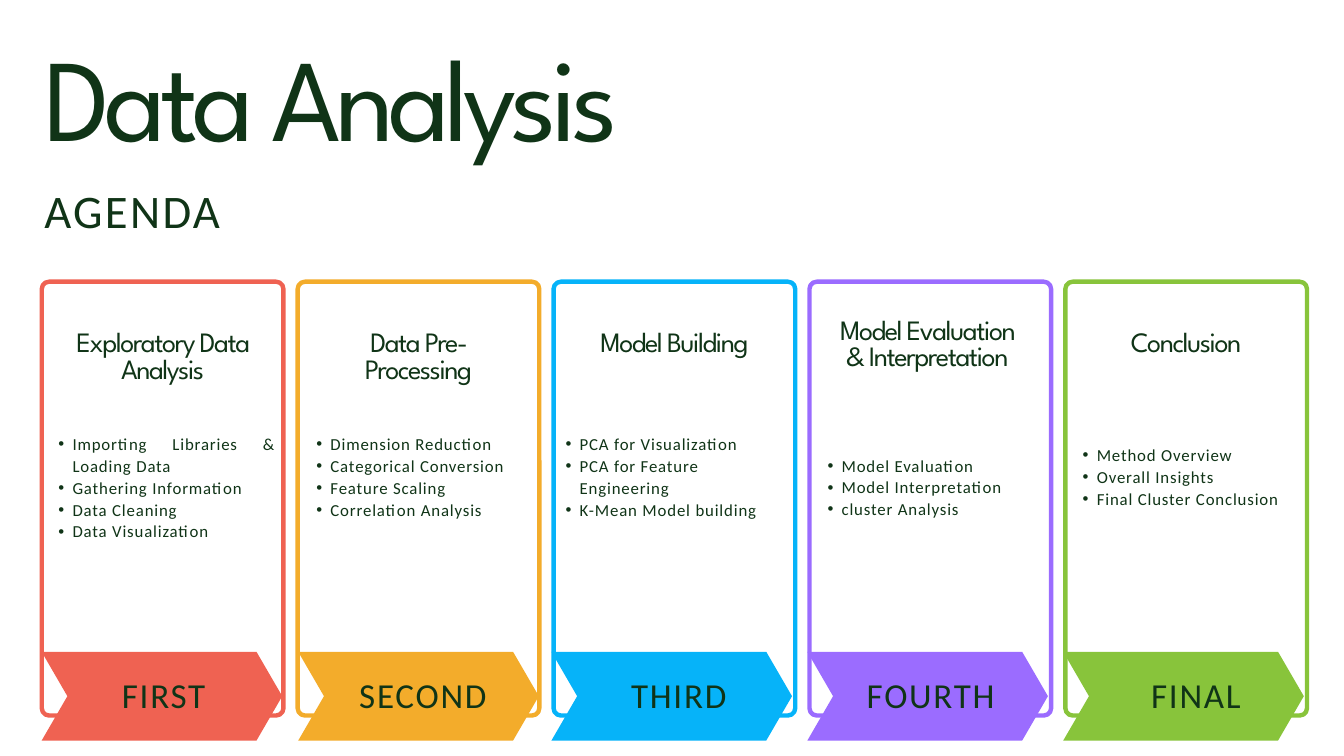
from dataclasses import dataclass

from lxml import etree
from pptx import Presentation
from pptx.dml.color import RGBColor
from pptx.enum.shapes import MSO_SHAPE
from pptx.enum.text import MSO_ANCHOR, MSO_AUTO_SIZE, PP_ALIGN
from pptx.oxml.ns import qn
from pptx.util import Inches, Pt

LEFT, CENTER, JUSTIFY = PP_ALIGN.LEFT, PP_ALIGN.CENTER, PP_ALIGN.JUSTIFY
TOP, NO_AUTOFIT = MSO_ANCHOR.TOP, MSO_AUTO_SIZE.NONE
ROUNDED, CHEVRON = MSO_SHAPE.ROUNDED_RECTANGLE, MSO_SHAPE.CHEVRON
TITLE_ONLY = 5

# The page is a grid of 100 columns by 56.25 rows of square cells
COLUMNS, ROWS = 100, 56.25
CELL = Inches(20) / COLUMNS


@dataclass(frozen=True)
class TextStyle:
    font: str
    size: float
    line: float      # line height in points
    tracking: float  # letter spacing in points


@dataclass(frozen=True)
class Theme:
    ink: str = "103417"
    frame: float = 4.7
    title: TextStyle = TextStyle("League Spartan", 125.3, 125.3, -6.3)
    subtitle: TextStyle = TextStyle("Calibri", 50, 50, 2.5)
    heading: TextStyle = TextStyle("League Spartan", 30, 28.5, -1.5)
    bullet: TextStyle = TextStyle("Calibri", 18, 23.4, 0.9)
    label: TextStyle = TextStyle("Calibri", 37.6, 37.6, 1.9)


THEME = Theme()


@dataclass(frozen=True)
class Box:
    """A rectangle in grid cells."""
    left: float
    top: float
    width: float
    height: float

    def inner(self, left, top, width, height):
        return Box(self.left + left, self.top + top, width, height)

    def lengths(self):
        return [round(side * CELL) for side in (self.left, self.top, self.width, self.height)]


@dataclass(frozen=True)
class Card:
    label: str
    color: str
    heading: str
    points: tuple
    list_left: float
    list_width: float
    label_center: float
    list_top: float = 11.35
    heading_left: float = 2.4
    heading_top: float = 3.9
    heading_width: float = 13.5
    arrow_left: float = 0
    align: PP_ALIGN = LEFT


CARDS = [
    Card("FIRST", "EF6252", "Exploratory Data Analysis",
         ("Importing Libraries & Loading Data", "Gathering Information",
          "Data Cleaning", "Data Visualization"),
         0.35, 17.2, 9.23, arrow_left=0.15, align=JUSTIFY),
    Card("SECOND", "F3AC2B", "Data Pre-Processing",
         ("Dimension Reduction", "Categorical Conversion",
          "Feature Scaling", "Correlation Analysis"),
         0.5, 17.35, 9.48, arrow_left=0.2),
    Card("THIRD", "06B3F9", "Model Building",
         ("PCA for Visualization", "PCA for Feature Engineering", "K-Mean Model building"),
         0, 17.45, 9.48),
    Card("FOURTH", "9B6CFF", "Model Evaluation & Interpretation",
         ("Model Evaluation", "Model Interpretation", "cluster Analysis"),
         0.45, 17.45, 9.18, list_top=12.95,
         heading_left=1.6, heading_top=2.95, heading_width=14.65),
    Card("FINAL", "88C43B", "Conclusion",
         ("Method Overview", "Overall Insights", "Final Cluster Conclusion"),
         0.4, 17.5, 9.88, list_top=12.15),
]


def write_text(shape, lines, style, align=LEFT, bulleted=False):
    frame = shape.text_frame
    frame.word_wrap = True
    frame.auto_size = NO_AUTOFIT
    frame.vertical_anchor = TOP
    frame.margin_left = frame.margin_right = frame.margin_top = frame.margin_bottom = 0
    for index, line in enumerate(lines):
        para = frame.paragraphs[0] if index == 0 else frame.add_paragraph()
        para.alignment = align
        para.line_spacing = Pt(style.line)
        para.space_before = para.space_after = Pt(0)
        if bulleted:
            para.level = 1
            properties = para._p.get_or_add_pPr()
            properties.set("marL", str(Inches(0.42)))
            properties.set("indent", str(Inches(-0.21)))
            etree.SubElement(properties, qn("a:buFont")).set("typeface", "Arial")
            etree.SubElement(properties, qn("a:buChar")).set("char", "•")
        span = para.add_run()
        span.text = line
        span.font.name = style.font
        span.font.size = Pt(style.size)
        span.font.color.rgb = RGBColor.from_string(THEME.ink)
        span._r.get_or_add_rPr().set("spc", str(round(style.tracking * 100)))


def add_text(shapes, box, lines, style, **text_format):
    write_text(shapes.add_textbox(*box.lengths()), lines, style, **text_format)


def add_plain_shape(shapes, kind, box, adjustment):
    shape = shapes.add_shape(kind, *box.lengths())
    shape.shadow.inherit = False
    shape.adjustments[0] = adjustment
    return shape


def add_header(page, box):
    title = page.shapes.title
    title.left, title.top, title.width, title.height = box.inner(0, 0, box.width, 9.15).lengths()
    write_text(title, ["Data Analysis"], THEME.title)
    add_text(page.shapes, box.inner(0, 10.65, box.width, 3.6), ["AGENDA"], THEME.subtitle)


def add_card(page, box, card):
    shapes = page.shapes.add_group_shape().shapes
    color = RGBColor.from_string(card.color)

    # Frame, inset by half its line width
    frame = add_plain_shape(
        shapes, ROUNDED, box.inner(0.16, 0.16, box.width - 0.32, box.height - 0.32), 0.03)
    frame.fill.background()
    frame.line.color.rgb = color
    frame.line.width = Pt(THEME.frame)

    # Arrow and its label
    arrow = add_plain_shape(shapes, CHEVRON, box.inner(card.arrow_left, 27.7, 17.9, 6.6), 0.29)
    arrow.fill.solid()
    arrow.fill.fore_color.rgb = color
    arrow.line.fill.background()
    label_width = 13.5
    add_text(shapes, box.inner(card.label_center - label_width / 2, 29.8, label_width, 2.7),
             [card.label], THEME.label, align=CENTER)

    # Heading and points
    add_text(shapes, box.inner(card.heading_left, card.heading_top, card.heading_width, 4.1),
             [card.heading], THEME.heading, align=CENTER)
    add_text(shapes, box.inner(card.list_left, card.list_top, card.list_width, 8.05),
             card.points, THEME.bullet, align=card.align, bulleted=True)


def main():
    deck = Presentation()
    deck.slide_width, deck.slide_height = round(COLUMNS * CELL), round(ROWS * CELL)
    page = deck.slides.add_slide(deck.slide_layouts[TITLE_ONLY])
    add_header(page, Box(3.3, 3.6, 73.7, 14.25))
    pitch = 19.04
    for index, card in enumerate(CARDS):
        add_card(page, Box(2.95 + index * pitch, 20.8, 18.3, 32.6), card)
    deck.save("out.pptx")


if __name__ == "__main__":
    main()
